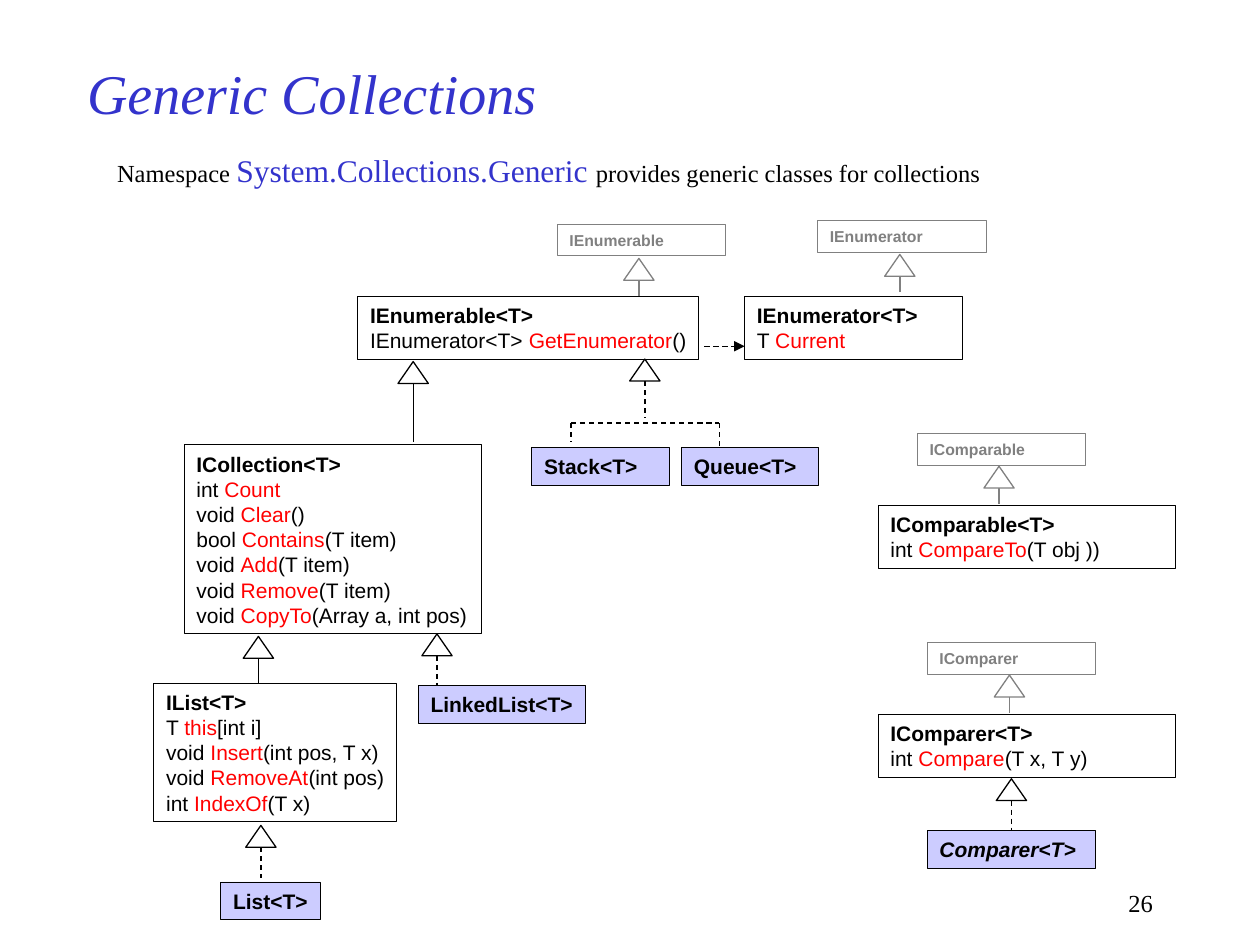
import pptx
import pptx.util
import pptx.dml.color
import pptx.enum.dml
import pptx.enum.shapes
import pptx.enum.text
import pptx.oxml
import pptx.oxml.ns

Cm = pptx.util.Cm
Pt = pptx.util.Pt
RGBColor = pptx.dml.color.RGBColor
MSO_SHAPE = pptx.enum.shapes.MSO_SHAPE
PP_ALIGN = pptx.enum.text.PP_ALIGN
MSO_ANCHOR = pptx.enum.text.MSO_ANCHOR

BLACK = RGBColor(0x00, 0x00, 0x00)
WHITE = RGBColor(0xFF, 0xFF, 0xFF)
GRAY = RGBColor(0x80, 0x80, 0x80)
RED = RGBColor(0xFF, 0x00, 0x00)
BLUE = RGBColor(0x33, 0x33, 0xCC)
LAVENDER = RGBColor(0xCC, 0xCC, 0xFF)

SERIF = "Times New Roman"
SANS = "Arial"
TRIANGLE_W, TRIANGLE_H = 0.61, 0.44


class Diagram:
    """Style and current slide; all positions are in centimetres."""

    def __init__(self, prs):
        self.slide = prs.slides.add_slide(prs.slide_layouts[5])
        self.shapes = self.slide.shapes

    def title(self, text, x, y, w, h):
        sp = self.shapes.title
        sp.left, sp.top, sp.width, sp.height = Cm(x), Cm(y), Cm(w), Cm(h)
        tf = sp.text_frame
        tf.text = text
        tf.vertical_anchor = MSO_ANCHOR.MIDDLE
        p = tf.paragraphs[0]
        p.alignment = PP_ALIGN.LEFT
        self.font(p.font, SERIF, 32, BLUE)
        p.font.italic = True

    def font(self, font, name, size, color):
        font.name = name
        font.size = Pt(size)
        font.color.rgb = color

    def text(self, runs, x, y, w, h, align=PP_ALIGN.LEFT):
        """Text box; runs are (text, size, color)."""
        tf = self.shapes.add_textbox(Cm(x), Cm(y), Cm(w), Cm(h)).text_frame
        tf.word_wrap = True
        p = tf.paragraphs[0]
        p.alignment = align
        p.font.name = SERIF
        for text, size, color in runs:
            r = p.add_run()
            r.text = text
            self.font(r.font, SERIF, size, color)

    def box(self, name, x, y, w, h, members=(), color=BLACK, fill=None,
            size=12, wrap=True, italic=None):
        """Type box; the part of a member between bars is red."""
        sp = self.shapes.add_shape(MSO_SHAPE.RECTANGLE, Cm(x), Cm(y), Cm(w), Cm(h))
        sp.shadow.inherit = False
        if fill is None:
            sp.fill.background()
        else:
            sp.fill.solid()
            sp.fill.fore_color.rgb = fill
        sp.line.color.rgb = color
        sp.line.width = Pt(0.5)
        tf = sp.text_frame
        tf.word_wrap = wrap
        tf.vertical_anchor = MSO_ANCHOR.TOP
        p = tf.paragraphs[0]
        p.text = name
        p.alignment = PP_ALIGN.LEFT
        self.font(p.font, SANS, size, color)
        p.font.bold = True
        p.font.italic = italic
        for member in members:
            p = tf.add_paragraph()
            p.alignment = PP_ALIGN.LEFT
            for i, part in enumerate(member.split("|")):
                r = p.add_run()
                r.text = part
                self.font(r.font, SANS, size, RED if i % 2 else color)
        return sp

    def interface(self, name, x, y, w, h, members, wrap=True):
        return self.box(name, x, y, w, h, members, wrap=wrap)

    def legacy(self, name, x, y):
        return self.box(name, x, y, 3.4, 0.64, color=GRAY, size=9)

    def concrete(self, name, x, y, w, wrap=True, italic=None):
        return self.box(name, x, y, w, 0.76, fill=LAVENDER, wrap=wrap, italic=italic)

    def line(self, x1, y1, x2, y2, color=BLACK, dashed=False, arrow=False):
        c = self.shapes.add_connector(pptx.enum.shapes.MSO_CONNECTOR.STRAIGHT,
                                      Cm(x1), Cm(y1), Cm(x2), Cm(y2))
        c.line.color.rgb = color
        c.line.width = Pt(0.75)
        if dashed:
            c.line.dash_style = pptx.enum.dml.MSO_LINE.DASH
        if arrow:
            tail = pptx.oxml.parse_xml(
                f'<a:tailEnd {pptx.oxml.ns.nsdecls("a")} type="triangle"/>')
            c.line._get_or_add_ln().append(tail)
        c._element.spPr.append(pptx.oxml.parse_xml(
            f'<a:effectLst {pptx.oxml.ns.nsdecls("a")}/>'))
        return c

    def inherits(self, x, top, bottom, color=BLACK, dashed=False):
        """Hollow triangle centred on x, with its stem down to bottom."""
        stem = self.line(x, top + TRIANGLE_H, x, bottom, color, dashed)
        sp = self.shapes.add_shape(MSO_SHAPE.ISOSCELES_TRIANGLE,
                                   Cm(x - TRIANGLE_W / 2), Cm(top),
                                   Cm(TRIANGLE_W), Cm(TRIANGLE_H))
        sp.shadow.inherit = False
        sp.fill.solid()
        sp.fill.fore_color.rgb = WHITE
        sp.line.color.rgb = color
        sp.line.width = Pt(0.75)
        return stem


def main():
    prs = pptx.Presentation()
    prs.slide_width, prs.slide_height = Cm(25.4), Cm(19.05)
    d = Diagram(prs)

    # Heading, introduction and page number
    d.title("Generic Collections", 1.5, 0.91, 19.05, 1.91)
    d.text([("Namespace ", 14, BLACK),
            ("System.Collections.Generic ", 18, BLUE),
            ("provides generic classes for collections", 14, BLACK)],
           2.11, 2.92, 20.02, 1.02)
    d.text([("26", 14, BLACK)], 18.21, 17.78, 5.28, 0.84, PP_ALIGN.RIGHT)

    # Generic interfaces
    d.interface("ICollection<T>", 3.71, 8.97, 5.99, 3.81,
                ["int |Count", "void |Clear|()", "bool |Contains|(T item)",
                 "void |Add|(T item)", "void |Remove|(T item)",
                 "void |CopyTo|(Array a, int pos)"], wrap=False)
    d.interface("IList<T>", 3.1, 13.77, 4.9, 2.79,
                ["T |this|[int i]", "void |Insert|(int pos, T x)",
                 "void |RemoveAt|(int pos)", "int |IndexOf|(T x)"], wrap=False)
    d.interface("IEnumerable<T>", 7.21, 5.97, 6.88, 1.27,
                ["IEnumerator<T> |GetEnumerator|()"], wrap=False)
    d.interface("IEnumerator<T>", 15.01, 5.97, 4.39, 1.27, ["T |Current"])
    d.interface("IComparable<T>", 17.7, 10.19, 5.99, 1.27,
                ["int |CompareTo|(T obj ))"])
    d.interface("IComparer<T>", 17.7, 14.4, 5.99, 1.27, ["int |Compare|(T x, T y)"])

    # Non-generic interfaces
    for name, x, y in [("IEnumerator", 16.48, 4.45), ("IEnumerable", 11.23, 4.52),
                       ("IComparable", 18.49, 8.74), ("IComparer", 18.69, 12.95)]:
        d.legacy(name, x, y)

    # Concrete classes
    d.concrete("List<T>", 4.45, 17.78, 2.01, wrap=False)
    d.concrete("LinkedList<T>", 8.43, 13.82, 3.38, wrap=False)
    d.concrete("Stack<T>", 10.72, 9.02, 2.77)
    d.concrete("Queue<T>", 13.74, 9.02, 2.77)
    comparer = d.concrete("Comparer<T>", 18.69, 16.74, 3.4, italic=True)

    # Interface inheritance
    for x, top, bottom in [(18.14, 5.13, 5.89), (12.88, 5.21, 5.97),
                           (20.14, 9.4, 10.16), (20.35, 13.61, 14.38)]:
        d.inherits(x, top, bottom, GRAY)
    d.inherits(8.33, 7.29, 8.92)
    d.inherits(5.21, 12.83, 13.77)

    # Implementation by classes
    for x, top, bottom in [(13, 7.24, 8.41), (8.81, 12.78, 13.82), (5.26, 16.64, 17.7)]:
        d.inherits(x, top, bottom, dashed=True)
    d.inherits(20.39, 15.7, 16.74, dashed=True).end_connect(comparer, 0)

    # Fork to Stack and Queue
    d.line(11.51, 8.53, 14.5, 8.53, dashed=True)
    d.line(11.51, 8.53, 11.51, 8.92, dashed=True)
    d.line(14.5, 8.53, 14.5, 9.04, dashed=True)

    # Use of the enumerator
    d.line(14.2, 6.98, 15.01, 6.98, dashed=True, arrow=True)

    prs.save("out.pptx")


if __name__ == "__main__":
    main()
